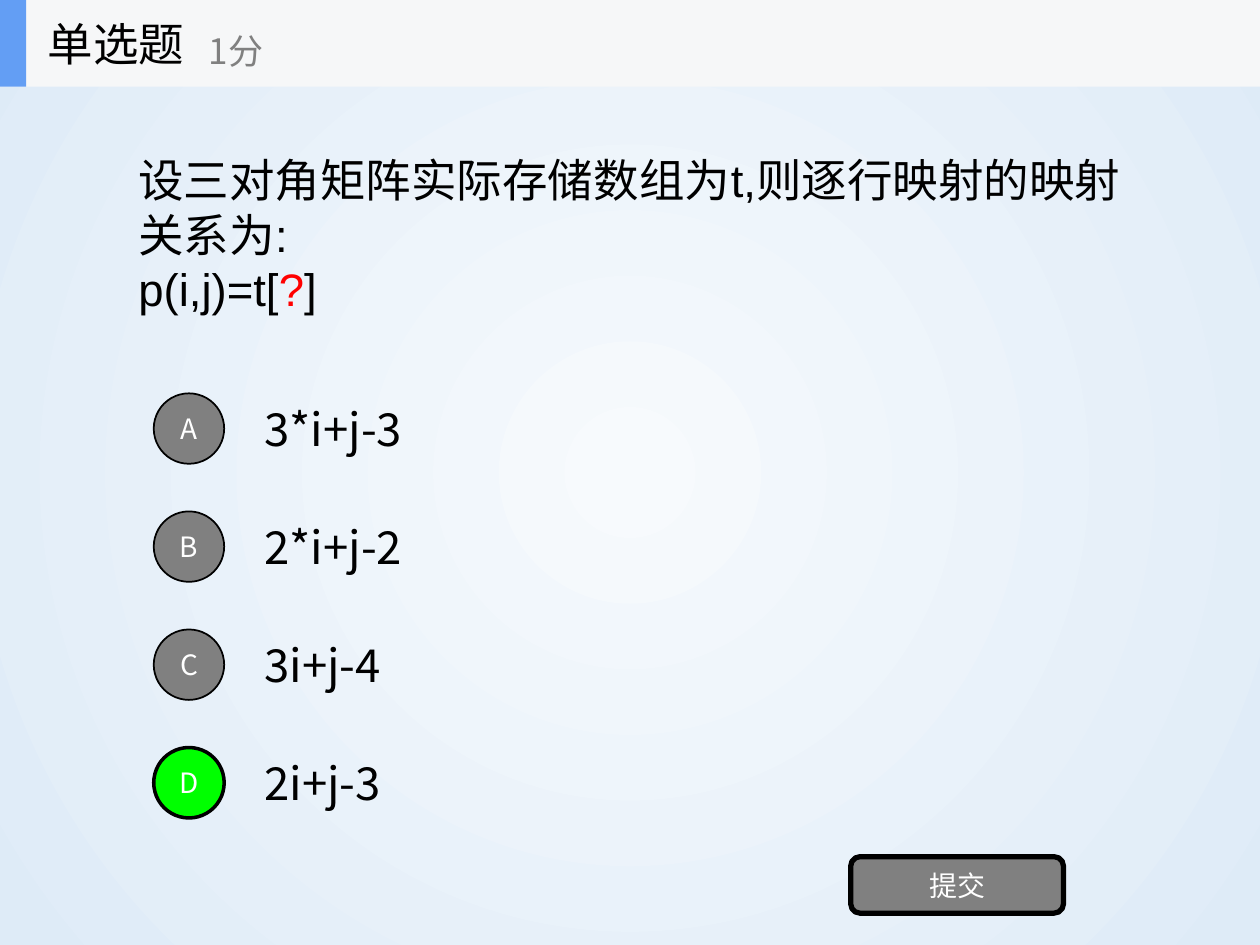
from lxml import etree
from pptx import Presentation
from pptx import util as u
from pptx.dml.color import RGBColor
from pptx.enum import shapes, text
from pptx.oxml.ns import qn

SANS, ARIAL = "Noto Sans CJK SC", "Arial"
BLACK, WHITE, GREY, GREEN, RED = "000000", "FFFFFF", "808080", "00FF00", "FF0000"
BACKGROUND = ["F7FAFD", "DEEBF7"]
HEADING = "单选题"
SCORE = "1分"
QUESTION = [
    [("设三对角矩阵实际存储数组为t,则逐行映射的映射关系为:", BLACK)],
    [("p(i,j)=t[", BLACK), ("?", RED), ("]", BLACK)],
]
OPTIONS = [("A", "3*i+j-3"), ("B", "2*i+j-2"), ("C", "3i+j-4"), ("D", "2i+j-3")]
ANSWER = "D"
SUBMIT = "提交"

HEADER_HEIGHT = 1.75
FIRST_OPTION, OPTION_PITCH, OPTION_HEIGHT = 7.75, 2.38, 1.78
CIRCLE = 1.42


def color(value):
    return RGBColor.from_string(value)


def write(box, paragraphs, size, font=SANS, align=text.PP_ALIGN.LEFT, wrap=True):
    frame = box.text_frame
    frame.word_wrap = wrap
    frame.auto_size = text.MSO_AUTO_SIZE.NONE
    frame.vertical_anchor = text.MSO_ANCHOR.MIDDLE
    for index, spans in enumerate(paragraphs):
        para = frame.add_paragraph() if index else frame.paragraphs[0]
        para.alignment = align
        for words, ink in spans:
            span = para.add_run()
            span.text = words
            span.font.name = font
            span.font.size = u.Pt(size)
            span.font.color.rgb = color(ink)
            east = etree.SubElement(span.font._element, qn("a:ea"))
            east.set("typeface", SANS)


def add_text(slide, place, paragraphs, size, **style):
    box = slide.shapes.add_textbox(*map(u.Cm, place))
    write(box, paragraphs, size, **style)


def add_block(slide, kind, place, fill, line=0, label=None):
    block = slide.shapes.add_shape(kind, *map(u.Cm, place))
    block.shadow.inherit = False
    block.fill.solid()
    block.fill.fore_color.rgb = color(fill)
    if line:
        block.line.color.rgb = color(BLACK)
        block.line.width = u.Pt(line)
    else:
        block.line.fill.background()
    if label:
        write(block, [[(label, WHITE)]], 16, align=text.PP_ALIGN.CENTER)


def paint_background(slide):
    fill = slide.background.fill
    fill.gradient()
    for stop, value, position in zip(fill.gradient_stops, BACKGROUND, (0, 1)):
        stop.color.rgb = color(value)
        stop.position = position
    linear = next(slide.background._cSld.iter(qn("a:lin")))
    circle = etree.Element(qn("a:path"), {"path": "circle"})
    sides = dict.fromkeys("ltrb", "50000")
    etree.SubElement(circle, qn("a:fillToRect"), sides)
    linear.getparent().replace(linear, circle)


def add_header(slide):
    kind = shapes.MSO_SHAPE.RECTANGLE
    add_block(slide, kind, (0, 0, 25.4, HEADER_HEIGHT), "F6F7F8")
    add_block(slide, kind, (0, 0, 0.53, HEADER_HEIGHT), "639EF4")
    title = slide.shapes.title
    title.left, title.top, title.width, title.height = map(
        u.Cm, (0.71, 0, 5.28, HEADER_HEIGHT))
    write(title, [[(HEADING, BLACK)]], 26, wrap=False)
    slide.shapes._spTree.append(title._element)
    add_text(slide, (3.96, 0.3, 6.35, 1.42), [[(SCORE, GREY)]], 20, wrap=False)


def add_options(slide):
    for index, (letter, formula) in enumerate(OPTIONS):
        top = FIRST_OPTION + index * OPTION_PITCH
        add_text(slide, (5.08, top, 17.78, OPTION_HEIGHT), [[(formula, BLACK)]], 26)
        fill, line = (GREEN, 2) if letter == ANSWER else (GREY, 1)
        circle_top = top + (OPTION_HEIGHT - CIRCLE) / 2
        add_block(slide, shapes.MSO_SHAPE.OVAL,
                  (3.1, circle_top, CIRCLE, CIRCLE), fill, line, letter)


def main():
    """Build the single-choice question slide."""
    deck = Presentation()
    deck.slide_width, deck.slide_height = u.Cm(25.4), u.Cm(19.05)
    slide = deck.slides.add_slide(deck.slide_layouts[5])
    paint_background(slide)
    add_text(slide, (2.54, 1.75, 20.32, 5.94), QUESTION, 26, font=ARIAL)
    add_options(slide)
    add_block(slide, shapes.MSO_SHAPE.ROUNDED_RECTANGLE,
              (17.15, 17.27, 4.29, 1.14), GREY, 3, SUBMIT)
    add_header(slide)
    deck.save("out.pptx")


if __name__ == "__main__":
    main()
